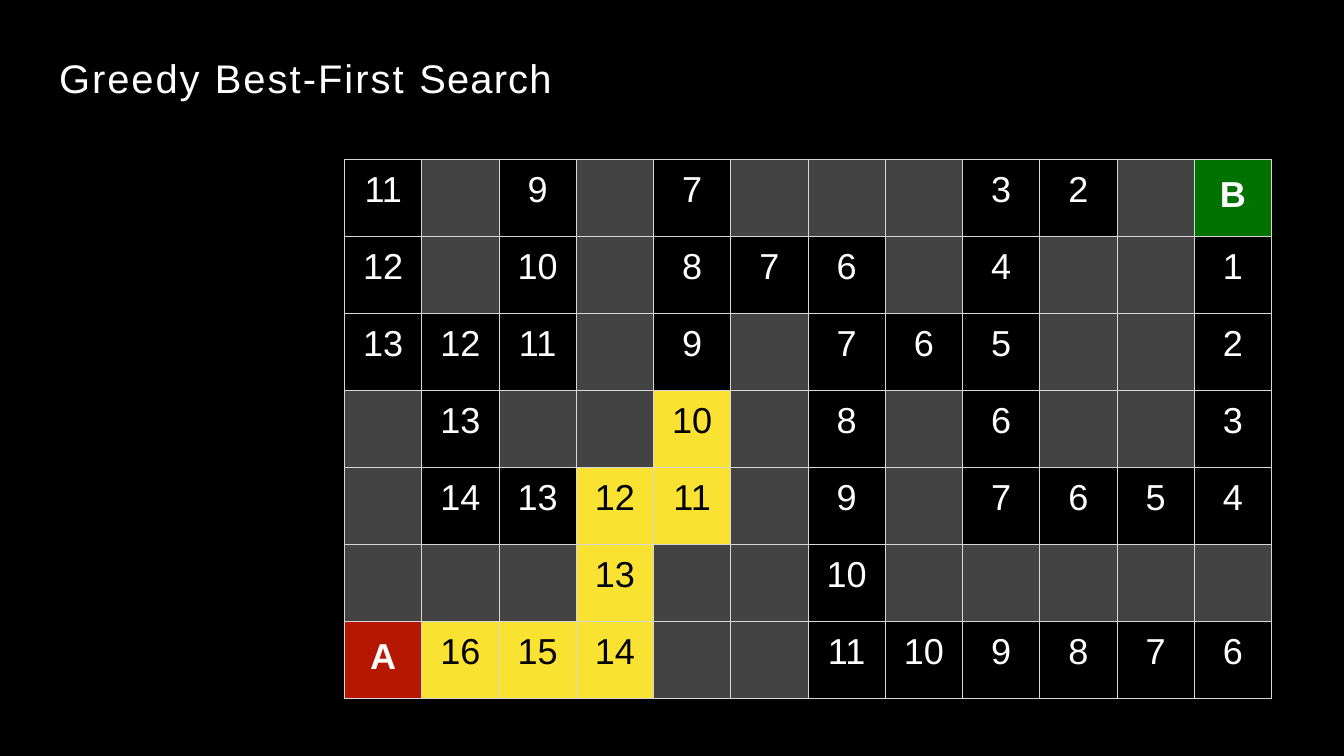
from lxml import etree
from pptx import Presentation
from pptx.dml.color import RGBColor
from pptx.enum.text import PP_ALIGN
from pptx.oxml.ns import qn
from pptx.util import Cm, Pt

# Title parts with their letter spacing in hundredths of a point
TITLE = [("Greedy ", 230), ("Best-First ", 240), ("Search", 140)]

# "#" is a wall, "*" marks an explored cell
MAZE = [
    "11 # 9 # 7 # # # 3 2 # B",
    "12 # 10 # 8 7 6 # 4 # # 1",
    "13 12 11 # 9 # 7 6 5 # # 2",
    "# 13 # # *10 # 8 # 6 # # 3",
    "# 14 13 *12 *11 # 9 # 7 6 5 4",
    "# # # *13 # # 10 # # # # #",
    "A *16 *15 *14 # # 11 10 9 8 7 6",
]

BLACK = RGBColor(0x00, 0x00, 0x00)
WHITE = RGBColor(0xFF, 0xFF, 0xFF)
GRAY = RGBColor(0x43, 0x43, 0x43)
YELLOW = RGBColor(0xFA, 0xE2, 0x32)
LINE = RGBColor(0xD6, 0xD7, 0xD6)
ENDS = {"A": RGBColor(0xB5, 0x17, 0x00), "B": RGBColor(0x01, 0x71, 0x00)}

FONT = "Arial"
CENTER = PP_ALIGN.CENTER
CELL_W, CELL_H = Cm(3.21), Cm(3.2)


def set_font(para, size, color, bold=False):
    font = para.font
    font.name, font.size, font.bold = FONT, Pt(size), bold
    font.color.rgb = color


def add_border(cell):
    """Draw a thin line on all four sides; lines must precede the fill."""
    props = cell._tc.get_or_add_tcPr()
    for i, side in enumerate(("lnL", "lnR", "lnT", "lnB")):
        line = etree.Element(qn(f"a:{side}"), w=str(Pt(1)))
        fill = etree.SubElement(line, qn("a:solidFill"))
        etree.SubElement(fill, qn("a:srgbClr"), val=str(LINE))
        props.insert(i, line)


def fill_cell(cell, mark):
    text = mark.strip("#*")
    end = mark in ENDS
    seen = mark.startswith("*")
    back = GRAY if mark == "#" else YELLOW if seen else ENDS.get(mark, BLACK)

    cell.margin_left = cell.margin_right = cell.margin_bottom = 0
    cell.margin_top = Cm(0.66 if end else 0.46)
    cell.fill.solid()
    cell.fill.fore_color.rgb = back
    add_border(cell)
    if text:
        cell.text = text
        para = cell.text_frame.paragraphs[0]
        para.alignment = CENTER
        set_font(para, 42.5, BLACK if seen else WHITE, end)


def add_title(slide):
    box = slide.shapes.add_textbox(Cm(2.46), Cm(2.18), Cm(20.5), Cm(2.06))
    frame = box.text_frame
    frame.word_wrap = True
    frame.margin_left = frame.margin_right = frame.margin_bottom = 0
    frame.margin_top = Cm(0.03)
    para = frame.paragraphs[0]
    set_font(para, 47, WHITE)
    for text, gap in TITLE:
        run = para.add_run()
        run.text = text
        run.font._element.set("spc", str(gap))


def add_maze(slide):
    rows = [line.split() for line in MAZE]
    count, width = len(rows), len(rows[0])
    table = slide.shapes.add_table(
        count, width, Cm(14.32), Cm(6.62), CELL_W * width, CELL_H * count
    ).table
    table.first_row = table.horz_banding = False
    for col in table.columns:
        col.width = CELL_W
    for r, marks in enumerate(rows):
        table.rows[r].height = CELL_H
        for c, mark in enumerate(marks):
            fill_cell(table.cell(r, c), mark)


def main():
    deck = Presentation()
    deck.slide_width, deck.slide_height = Cm(55.85), Cm(31.42)
    slide = deck.slides.add_slide(deck.slide_layouts[6])
    back = slide.background.fill
    back.solid()
    back.fore_color.rgb = BLACK
    add_maze(slide)
    add_title(slide)
    deck.save("out.pptx")


if __name__ == "__main__":
    main()
